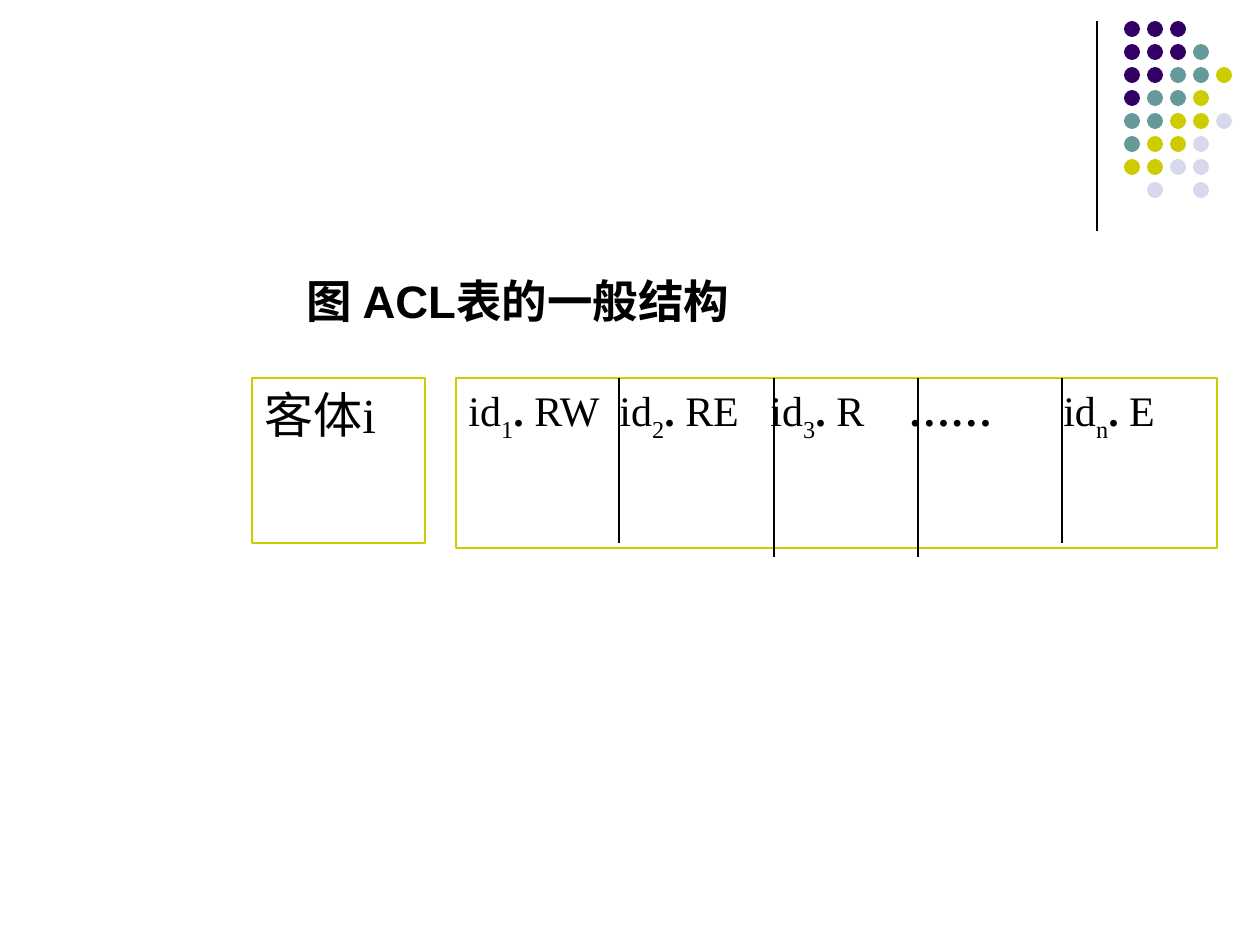
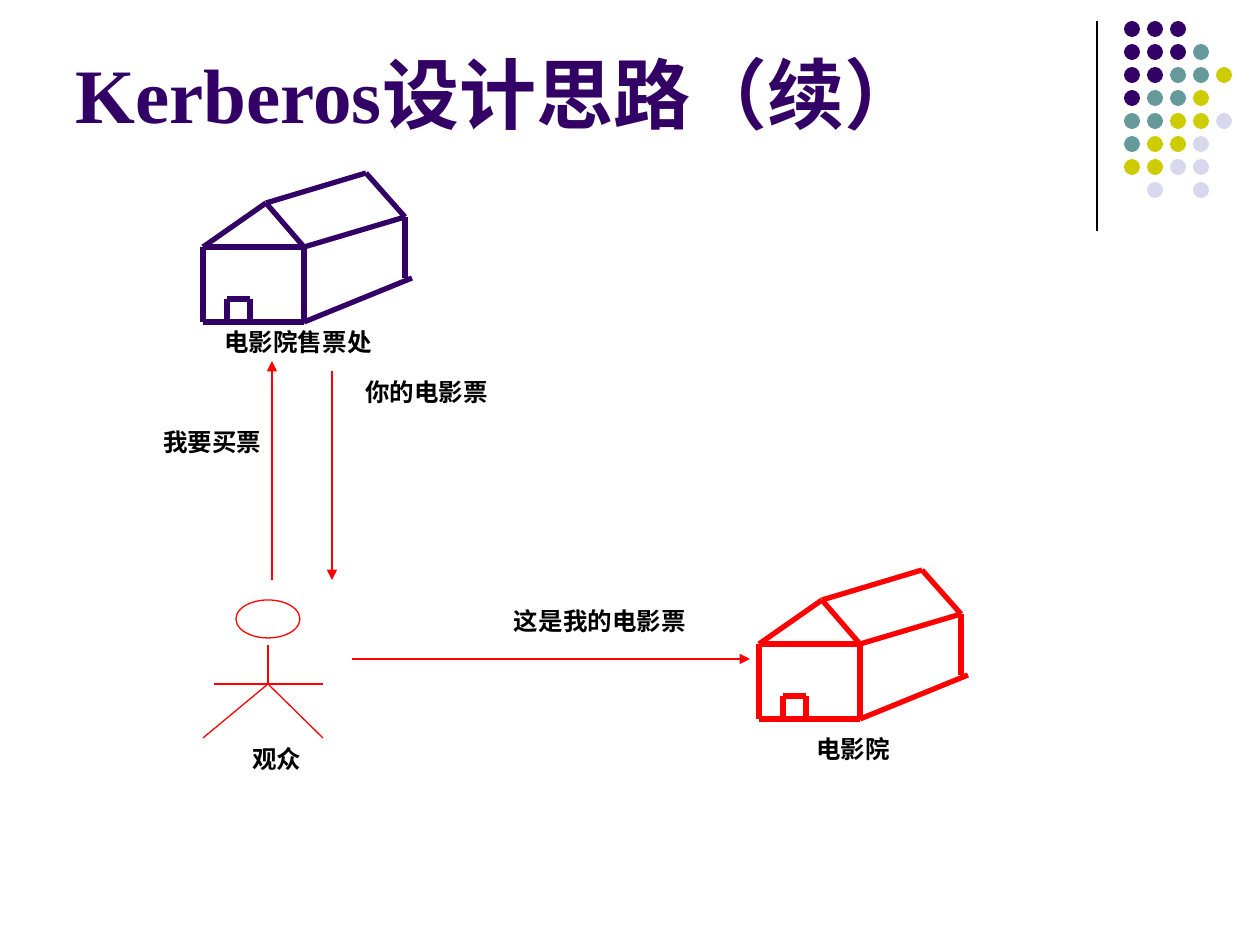
from dataclasses import dataclass

from lxml import etree
from pptx import Presentation
from pptx.dml.color import RGBColor
from pptx.enum.shapes import MSO_CONNECTOR, MSO_SHAPE
from pptx.enum.text import MSO_ANCHOR, MSO_AUTO_SIZE, PP_ALIGN
from pptx.oxml.ns import qn
from pptx.util import Pt

STRAIGHT = MSO_CONNECTOR.STRAIGHT
RECT, OVAL = MSO_SHAPE.RECTANGLE, MSO_SHAPE.OVAL
TOP, BOTTOM = MSO_ANCHOR.TOP, MSO_ANCHOR.BOTTOM
LEFT, CENTER = PP_ALIGN.LEFT, PP_ALIGN.CENTER
FIT_SHAPE, NO_FIT = MSO_AUTO_SIZE.SHAPE_TO_FIT_TEXT, MSO_AUTO_SIZE.NONE

TITLE_ONLY = 5
PX_PER_INCH = 126


@dataclass(frozen=True)
class Theme:
    ink: str = "000000"
    purple: str = "330066"
    teal: str = "669999"
    lime: str = "CCCC00"
    lilac: str = "D8D8EC"
    red: str = "FF0000"
    serif: str = "Times New Roman"
    sans: str = "Arial"
    title: int = 44
    caption: int = 26
    object_name: int = 28
    entry: int = 24
    label: int = 14
    thin: float = 0.75
    thick: float = 3


T = Theme()


def px(n):
    return round(n * 914400 / PX_PER_INCH)


def rgb(code):
    return RGBColor.from_string(code)


def style_font(font, size, color=T.ink, name=T.serif, bold=False):
    font.name, font.size, font.bold = name, Pt(size), bold
    font.color.rgb = rgb(color)


# Basic parts

def add_line(s, x1, y1, x2, y2, color=T.ink, width=T.thin, arrow=False):
    c = s.shapes.add_connector(STRAIGHT, px(x1), px(y1), px(x2), px(y2))
    c.line.color.rgb = rgb(color)
    c.line.width = Pt(width)
    sp_pr = c.element.spPr
    if arrow:
        etree.SubElement(sp_pr.find(qn("a:ln")), qn("a:tailEnd"), type="triangle")
    etree.SubElement(sp_pr, qn("a:effectLst"))


def add_shape(s, kind, x, y, w, h, fill=None, line=None):
    sp = s.shapes.add_shape(kind, px(x), px(y), px(w), px(h))
    sp.shadow.inherit = False
    if fill:
        sp.fill.solid()
        sp.fill.fore_color.rgb = rgb(fill)
    else:
        sp.fill.background()
    if line:
        sp.line.color.rgb = rgb(line)
        sp.line.width = Pt(T.thin)
    else:
        sp.line.fill.background()
    return sp


def add_text_frame_box(s, x, y, w, h):
    sp = add_shape(s, RECT, x, y, w, h, line=T.lime)
    tf = sp.text_frame
    tf.word_wrap = True
    tf.vertical_anchor = TOP
    tf.paragraphs[0].alignment = LEFT
    return tf


def add_label(s, text, x, y, w):
    tf = s.shapes.add_textbox(px(x), px(y), px(w), px(43)).text_frame
    tf.word_wrap = True
    tf.auto_size = FIT_SHAPE
    tf.text = text
    p = tf.paragraphs[0]
    p.alignment = CENTER
    style_font(p.runs[0].font, T.label, bold=True)


# Shared slide frame: title, rule and dot grid

def add_dot_grid(s, x, y):
    colors = {"P": T.purple, "T": T.teal, "Y": T.lime, "L": T.lilac}
    rows = ["PPP", "PPPT", "PPTTY", "PTTY", "TTYYL", "TYYL", "YYLL", "-L-L"]
    pitch, size = 23, 16
    for i, row in enumerate(rows):
        for j, key in enumerate(row):
            if key in colors:
                add_shape(s, OVAL, x + j * pitch, y + i * pitch, size, size,
                          fill=colors[key])


def add_slide(prs, title, box, **font):
    s = prs.slides.add_slide(prs.slide_layouts[TITLE_ONLY])
    add_line(s, 1097, 21, 1097, 231)
    add_dot_grid(s, 1124, 21)
    sp = s.shapes.title
    sp.left, sp.top, sp.width, sp.height = map(px, box)
    tf = sp.text_frame
    tf.text = title
    tf.auto_size = NO_FIT
    tf.vertical_anchor = BOTTOM
    p = tf.paragraphs[0]
    p.alignment = LEFT
    style_font(p.runs[0].font, bold=True, **font)
    return s


# ACL structure

def add_object_box(s, x, y):
    tf = add_text_frame_box(s, x, y, 173, 165)
    tf.text = "客体i"
    style_font(tf.paragraphs[0].runs[0].font, T.object_name)


def add_entry_list(s, x, y):
    p = add_text_frame_box(s, x, y, 761, 170).paragraphs[0]
    tabs = etree.SubElement(p._p.get_or_add_pPr(), qn("a:tabLst"))
    for stop in (151, 302, 440, 595):
        etree.SubElement(tabs, qn("a:tab"), pos=str(px(stop)), algn="l")

    def add_run(text, bold=False, sub=False):
        r = p.add_run()
        r.text = text
        style_font(r.font, T.entry, bold=bold)
        if sub:
            r._r.get_or_add_rPr().set("baseline", "-30000")

    def add_entry(index, right):
        add_run("id")
        add_run(index, sub=True)
        add_run(". ", bold=True)
        add_run(right)

    for index, right in (("1", "RW\t"), ("2", "RE\t"), ("3", "R\t")):
        add_entry(index, right)
    add_run("……\t", bold=True)
    add_entry("n", "E")

    for dx, length in ((163, 165), (318, 179), (462, 179), (606, 165)):
        add_line(s, x + dx, y, x + dx, y + length)


def build_acl_slide(prs):
    s = add_slide(prs, "图 ACL表的一般结构", (294, 168, 829, 166),
                  size=T.caption, name=T.sans)
    add_entry_list(s, 456, 378)
    add_object_box(s, 252, 378)


# Cinema ticket analogy

def add_house(s, x, y, color):
    ridge, ridge_back = (63, 30), (163, 0)
    eave_left, eave_right, eave_back = (0, 74), (101, 74), (202, 44)
    base_left, base_right = (0, 149), (101, 149)
    wall_foot, base_back = (202, 105), (209, 105)
    door = [(24, 149), (24, 126), (47, 126), (47, 149)]
    edges = [
        (ridge, eave_left), (ridge, eave_right), (eave_left, eave_right),
        (ridge, ridge_back), (ridge_back, eave_back), (eave_right, eave_back),
        (eave_left, base_left), (eave_right, base_right),
        (base_left, base_right), (base_right, base_back),
        (eave_back, wall_foot), *zip(door, door[1:]),
    ]
    for (x1, y1), (x2, y2) in edges:
        add_line(s, x + x1, y + y1, x + x2, y + y2, color, T.thick)


def add_viewer(s, x, y):
    add_shape(s, OVAL, x + 33, y, 64, 38, line=T.red)
    neck, hip = (65, 45), (65, 84)
    limbs = [(neck, hip), (hip, (0, 138)), (hip, (120, 138)),
             ((11, 84), (120, 84))]
    for (x1, y1), (x2, y2) in limbs:
        add_line(s, x + x1, y + y1, x + x2, y + y2, T.red)


def build_kerberos_slide(prs):
    s = add_slide(prs, "Kerberos设计思路（续）", (63, 16, 1040, 129),
                  size=T.title, color=T.purple)
    add_house(s, 203, 173, T.purple)
    add_house(s, 759, 570, T.red)
    add_viewer(s, 203, 600)

    # Messages between the parties
    for ends in ((272, 580, 272, 361), (332, 371, 332, 580),
                 (352, 659, 750, 659)):
        add_line(s, *ends, color=T.red, arrow=True)

    for text, x, y, w in (
        ("电影院售票处", 174, 321, 248),
        ("电影院", 729, 728, 248),
        ("观众", 153, 738, 248),
        ("我要买票", 133, 421, 159),
        ("你的电影票", 332, 371, 189),
        ("这是我的电影票", 481, 600, 238),
    ):
        add_label(s, text, x, y, w)


def main():
    prs = Presentation()
    prs.slide_width, prs.slide_height = px(1260), px(945)
    build_acl_slide(prs)
    build_kerberos_slide(prs)
    prs.save("out.pptx")


if __name__ == "__main__":
    main()
